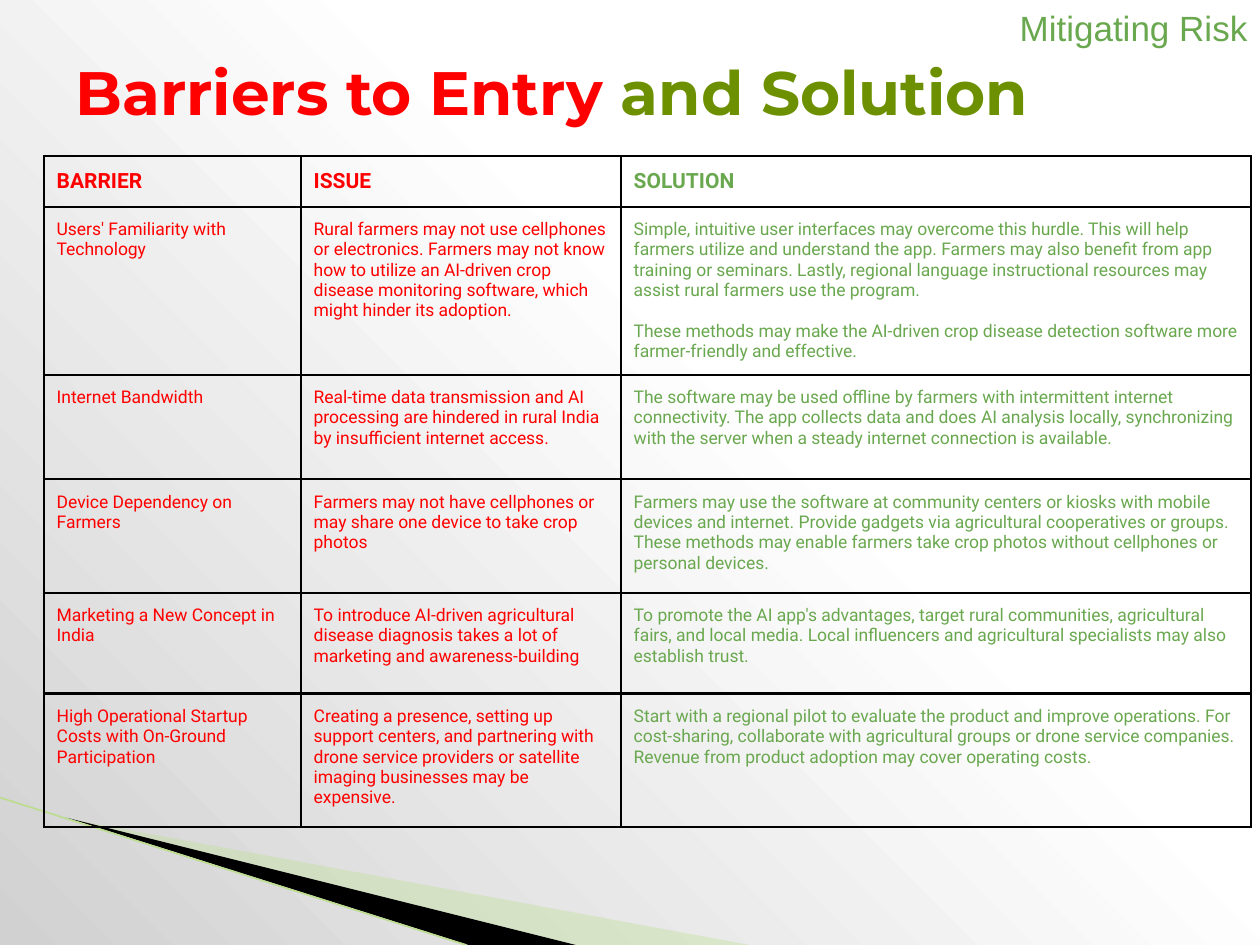
from pptx import Presentation
from pptx.dml.color import RGBColor
from pptx.enum import text as t
from pptx.enum.shapes import MSO_CONNECTOR
from pptx.oxml import parse_xml
from pptx.oxml.ns import nsdecls, qn
from pptx.util import Inches, Pt

RED, GREEN, OLIVE = "FF0000", "6AA84F", "6C9000"

# Content
TITLE = [("Barriers to Entry", RED), (" and Solution", OLIVE)]
TAG = "Mitigating Risk"
COLS = [(2.04, RED), (2.54, RED), (5, GREEN)]
HEADS = (0.4, ["BARRIER", "ISSUE", "SOLUTION"])
ROWS = [
    (1.33, ["Users' Familiarity with Technology",
            "Rural farmers may not use cellphones or electronics. Farmers may not know how to "
            "utilize an AI-driven crop disease monitoring software, which might hinder its adoption.",
            "Simple, intuitive user interfaces may overcome this hurdle. This will help farmers "
            "utilize and understand the app. Farmers may also benefit from app training or seminars. "
            "Lastly, regional language instructional resources may assist rural farmers use the "
            "program.\nThese methods may make the AI-driven crop disease detection software more "
            "farmer-friendly and effective."]),
    (0.83, ["Internet Bandwidth",
            "Real-time data transmission and AI processing are hindered in rural India by "
            "insufficient internet access.",
            "The software may be used offline by farmers with intermittent internet connectivity. "
            "The app collects data and does AI analysis locally, synchronizing with the server when "
            "a steady internet connection is available."]),
    (0.9, ["Device Dependency on Farmers",
           "Farmers may not have cellphones or may share one device to take crop photos",
           "Farmers may use the software at community centers or kiosks with mobile devices and "
           "internet. Provide gadgets via agricultural cooperatives or groups. These methods may "
           "enable farmers take crop photos without cellphones or personal devices."]),
    (0.8, ["Marketing a New Concept in India",
           "To introduce AI-driven agricultural disease diagnosis takes a lot of marketing and "
           "awareness-building",
           "To promote the AI app's advantages, target rural communities, agricultural fairs, and "
           "local media. Local influencers and agricultural specialists may also establish trust."]),
    (1.06, ["High Operational Startup Costs with On-Ground Participation",
            "Creating a presence, setting up support centers, and partnering with drone service "
            "providers or satellite imaging businesses may be expensive.",
            "Start with a regional pilot to evaluate the product and improve operations. For "
            "cost-sharing, collaborate with agricultural groups or drone service companies. Revenue "
            "from product adoption may cover operating costs."]),
]
# Swoosh outlines: points, fill, opacity in percent
WEDGES = [
    ([(0.55, 6.5), (5.95, 7.5), (4.56, 7.5)], "C2E099", 40),
    ([(0.53, 6.49), (4.57, 7.5), (3.72, 7.5)], "000000", 100),
]
GRAY = [(0, "FFFFFF"), (40, "FFFFFF"), (100, "D1D1D1")]


def rgb(code):
    return RGBColor.from_string(code)


def write(frame, parts, size, font, bold=False, align=t.PP_ALIGN.LEFT, gap=0):
    """Write (text, colour) runs; a newline starts a paragraph after a gap."""
    para = frame.paragraphs[0]
    para.alignment = align
    for words, color in parts:
        for i, line in enumerate(words.split("\n")):
            if i:
                para = frame.add_paragraph()
                para.alignment = align
                para.space_before = Pt(gap)
            run = para.add_run()
            run.text = line
            run.font.size, run.font.name, run.font.bold = Pt(size), font, bold
            run.font.color.rgb = rgb(color)


def border(cell, color, width):
    props = cell._tc.get_or_add_tcPr()
    for i, side in enumerate("LRTB"):
        props.insert(i, parse_xml(
            f'<a:ln{side} {nsdecls("a")} w="{Pt(width)}"><a:solidFill>'
            f'<a:srgbClr val="{color}"/></a:solidFill></a:ln{side}>'))


deck = Presentation()
deck.slide_width, deck.slide_height = Inches(10), Inches(7.5)
slide = deck.slides.add_slide(deck.slide_layouts[5])

# Background: radial gradient from the top right corner
slide.background.fill.solid()
back = slide.element.find(".//" + qn("p:bgPr"))
stops = "".join(f'<a:gs pos="{pos * 1000}"><a:srgbClr val="{c}"/></a:gs>' for pos, c in GRAY)
back.replace(back[0], parse_xml(
    f'<a:gradFill {nsdecls("a")} rotWithShape="1"><a:gsLst>{stops}</a:gsLst>'
    '<a:path path="circle"><a:fillToRect l="100000" b="100000"/></a:path></a:gradFill>'))

# Swoosh
for points, color, alpha in WEDGES:
    spots = [(Inches(x), Inches(y)) for x, y in points]
    pen = slide.shapes.build_freeform(*spots[0])
    pen.add_line_segments(spots[1:], close=True)
    wedge = pen.convert_to_shape()
    wedge.shadow.inherit = False
    wedge.line.fill.background()
    wedge.fill.solid()
    wedge.fill.fore_color.rgb = rgb(color)
    if alpha < 100:
        tint = wedge.fill._xPr.find(".//" + qn("a:srgbClr"))
        tint.append(parse_xml(f'<a:alpha {nsdecls("a")} val="{alpha * 1000}"/>'))
edge = slide.shapes.add_connector(MSO_CONNECTOR.STRAIGHT, Inches(0), Inches(6.33),
                                  Inches(3.7), Inches(7.5))
edge.line.color.rgb = rgb("BCDC90")
edge.line.width = Pt(0.95)
edge._element.spPr.append(parse_xml(f'<a:effectLst {nsdecls("a")}/>'))

# Title
title = slide.shapes.title
title.left, title.top, title.width, title.height = map(Inches, (0.5, 0.1, 9, 1.25))
frame = title.text_frame
frame.auto_size = t.MSO_AUTO_SIZE.NONE
frame.vertical_anchor = t.MSO_ANCHOR.MIDDLE
write(frame, TITLE, 35, "Montserrat", bold=True)

# Table
lines = [HEADS] + ROWS
grid = slide.shapes.add_table(
    len(lines), len(COLS), Inches(0.35), Inches(1.24),
    Inches(sum(w for w, _ in COLS)), Inches(sum(h for h, _ in lines))).table
grid.first_row = grid.horz_banding = False
for col, (width, _) in zip(grid.columns, COLS):
    col.width = Inches(width)
for r, (height, texts) in enumerate(lines):
    grid.rows[r].height = Inches(height)
    for c, words in enumerate(texts):
        cell = grid.cell(r, c)
        cell.margin_left = cell.margin_right = Inches(0.1)
        cell.margin_top = cell.margin_bottom = Inches(0.1)
        cell.fill.background()
        border(cell, "000000", 1.5)
        write(cell.text_frame, [(words, COLS[c][1])], 10 if r else 12, "Roboto",
              bold=r == 0, gap=11.7)

# Corner tag
tag = slide.shapes.add_textbox(Inches(5.28), Inches(0), Inches(4.72), Inches(0.56))
tag.text_frame.word_wrap = True
write(tag.text_frame, [(TAG, GREEN)], 20, "Arial", align=t.PP_ALIGN.RIGHT)

deck.save("out.pptx")
